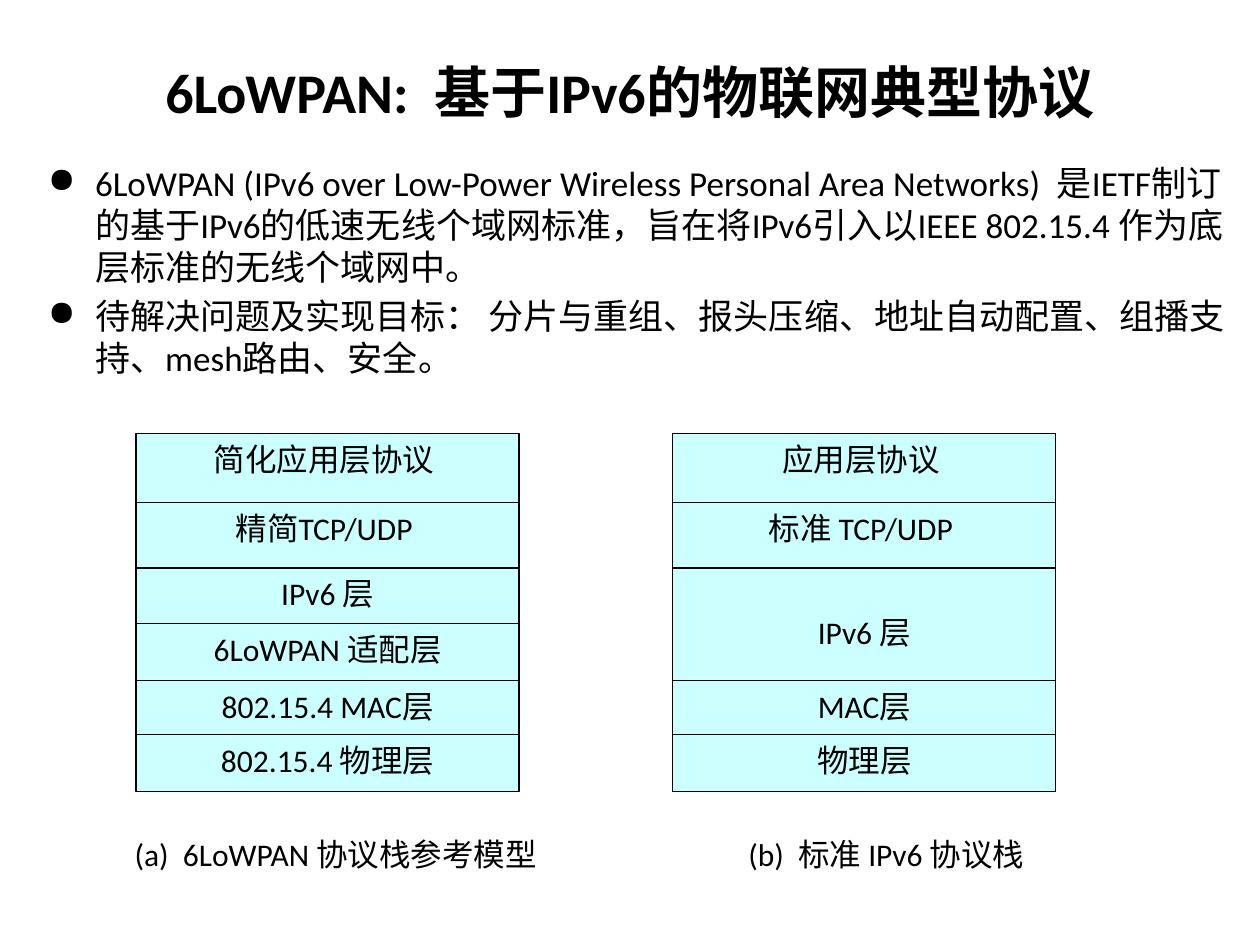
from dataclasses import dataclass

from lxml import etree
from pptx import Presentation
from pptx.dml.color import RGBColor
from pptx.enum.shapes import MSO_SHAPE
from pptx.enum.text import MSO_ANCHOR, PP_ALIGN
from pptx.oxml.ns import qn
from pptx.util import Pt

RECTANGLE = MSO_SHAPE.RECTANGLE
TOP, MIDDLE = MSO_ANCHOR.TOP, MSO_ANCHOR.MIDDLE
LEFT, CENTER = PP_ALIGN.LEFT, PP_ALIGN.CENTER
FONT = "Calibri"
BLACK, LAYER_FILL = "000000", "CCFFFF"

STACK_WIDTH = 218.9
LAYER_EDGES = [247.7, 287.3, 324.7, 356.4, 388.8, 419.8, 452.2]
CAPTION_TOP, CAPTION_WIDTH, CAPTION_HEIGHT = 473.8, 261.4, 33.8
BULLET_INDENT = 27
SPACE_SHARE = 0.2  # paragraph spacing as a share of the text size


@dataclass
class Layer:
    text: str
    rows: int = 1
    text_offset: float = 0


@dataclass
class Stack:
    left: float
    layers: list[Layer]
    caption: str
    caption_left: float


STACKS = [
    Stack(77.8, [
        Layer("简化应用层协议 "),
        Layer("精简TCP/UDP "),
        Layer("IPv6 层"),
        Layer("6LoWPAN 适配层"),
        Layer("802.15.4 MAC层"),
        Layer("802.15.4 物理层"),
    ], "(a)  6LoWPAN 协议栈参考模型", 61.2),
    Stack(384.5, [
        Layer("应用层协议 "),
        Layer("标准 TCP/UDP "),
        Layer("IPv6 层", rows=2, text_offset=22),
        Layer("MAC层"),
        Layer("物理层"),
    ], "(b)  标准 IPv6 协议栈", 375.8),
]

BULLETS = [
    "6LoWPAN (IPv6 over Low-Power Wireless Personal Area Networks)  是IETF制订的"
    "基于IPv6的低速无线个域网标准，旨在将IPv6引入以IEEE 802.15.4 作为底层标准的无线个域网中。",
    "待解决问题及实现目标： 分片与重组、报头压缩、地址自动配置、组播支持、mesh路由、安全。",
]


def color(value: str) -> RGBColor:
    return RGBColor.from_string(value)


def write(paragraph, text: str, size: float, align=CENTER, bold: bool = False) -> None:
    paragraph.alignment = align
    run = paragraph.add_run()
    run.text = text
    run.font.name = FONT
    run.font.size = Pt(size)
    run.font.bold = bold
    run.font.color.rgb = color(BLACK)


def add_frame(slide, left: float, top: float, width: float, height: float, anchor=TOP):
    box = slide.shapes.add_textbox(Pt(left), Pt(top), Pt(width), Pt(height))
    box.text_frame.word_wrap = True
    box.text_frame.vertical_anchor = anchor
    return box.text_frame


def add_bullet(paragraph) -> None:
    properties = paragraph._p.get_or_add_pPr()
    properties.set("marL", str(Pt(BULLET_INDENT)))
    properties.set("indent", str(-Pt(BULLET_INDENT)))
    etree.SubElement(properties, qn("a:buChar")).set("char", "●")


def add_layer(group, layer: Layer, left: float, top: float, bottom: float) -> None:
    shape = group.shapes.add_shape(
        RECTANGLE, Pt(left), Pt(top), Pt(STACK_WIDTH), Pt(bottom - top))
    shape.shadow.inherit = False
    shape.fill.solid()
    shape.fill.fore_color.rgb = color(LAYER_FILL)
    shape.line.color.rgb = color(BLACK)
    shape.line.width = Pt(0.75)
    frame = shape.text_frame
    frame.word_wrap = True
    frame.vertical_anchor = TOP
    frame.margin_top = Pt(3.6 + layer.text_offset)
    write(frame.paragraphs[0], layer.text, 18)


def add_stack(slide, stack: Stack) -> None:
    group = slide.shapes.add_group_shape()
    row = 0
    for layer in stack.layers:
        next_row = row + layer.rows
        add_layer(group, layer, stack.left, LAYER_EDGES[row], LAYER_EDGES[next_row])
        row = next_row
    caption = add_frame(
        slide, stack.caption_left, CAPTION_TOP, CAPTION_WIDTH, CAPTION_HEIGHT)
    caption.paragraphs[0].space_before = Pt(18 * SPACE_SHARE)
    write(caption.paragraphs[0], stack.caption, 18)


def main() -> None:
    presentation = Presentation()
    presentation.slide_width, presentation.slide_height = Pt(720), Pt(540)
    slide = presentation.slides.add_slide(presentation.slide_layouts[6])

    # Title
    title = add_frame(slide, 36, 21.6, 648, 61.2, MIDDLE)
    write(title.paragraphs[0], "6LoWPAN:  基于IPv6的物联网典型协议", 32, bold=True)

    # Bulleted introduction
    body = add_frame(slide, 20.2, 88.6, 691.9, 136.1)
    for index, text in enumerate(BULLETS):
        paragraph = body.add_paragraph() if index else body.paragraphs[0]
        paragraph.space_before = Pt(20 * SPACE_SHARE)
        write(paragraph, text, 20, LEFT)
        add_bullet(paragraph)

    # Protocol stacks with captions
    for stack in STACKS:
        add_stack(slide, stack)

    presentation.save("out.pptx")


if __name__ == "__main__":
    main()
